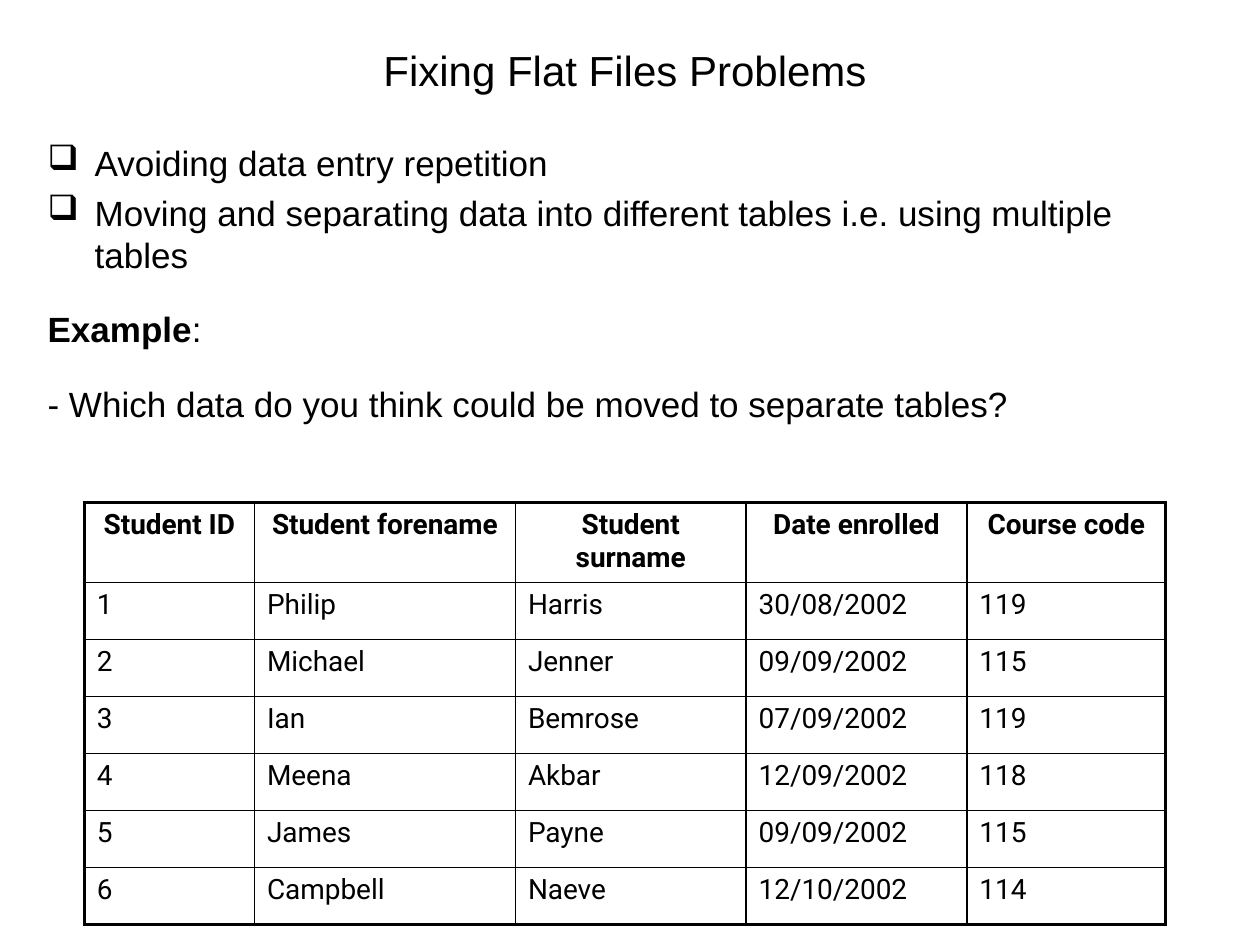
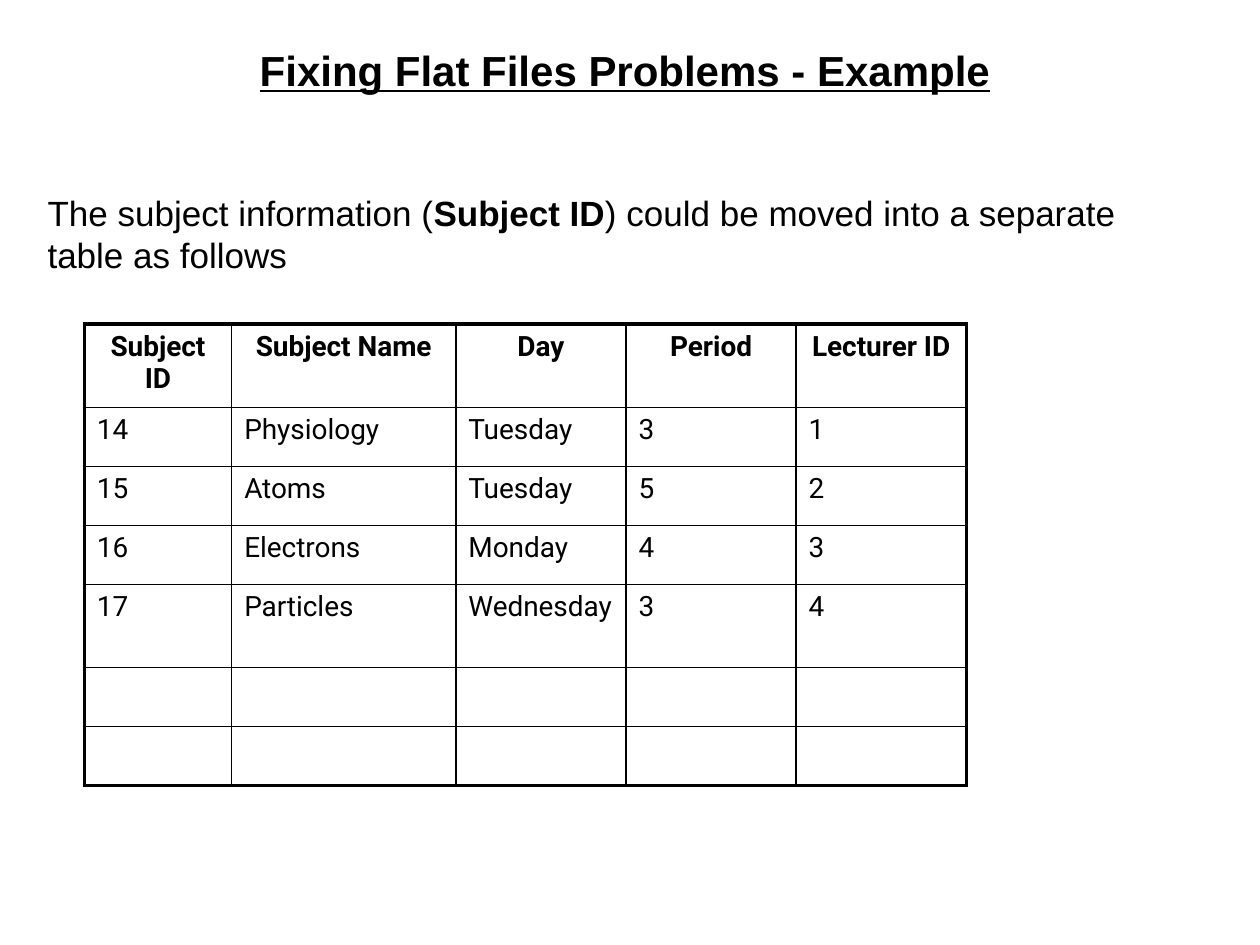
import pptx
import pptx.dml.color
import pptx.enum.text
import pptx.oxml
import pptx.oxml.ns
import pptx.util

Cm = pptx.util.Cm
Pt = pptx.util.Pt
ALIGN = pptx.enum.text.PP_ALIGN
ANCHOR = pptx.enum.text.MSO_ANCHOR

COLORS = {"ink": "000000", "paper": "FFFFFF"}
BODY_FONT = "Arial"
TABLE_FONT = "Roboto"
TABLE_LEFT = 1.7
OUTER_LINE = 2.25
INNER_LINE = 1
BULLET_INDENT = 0.95

STUDENTS = [
    ["Student ID", "Student forename", "Student surname", "Date enrolled", "Course code"],
    ["1", "Philip", "Harris", "30/08/2002", "119"],
    ["2", "Michael", "Jenner", "09/09/2002", "115"],
    ["3", "Ian", "Bemrose", "07/09/2002", "119"],
    ["4", "Meena", "Akbar", "12/09/2002", "118"],
    ["5", "James", "Payne", "09/09/2002", "115"],
    ["6", "Campbell", "Naeve", "12/10/2002", "114"],
]
SUBJECTS = [
    ["Subject ID", "Subject Name", "Day", "Period", "Lecturer ID"],
    ["14", "Physiology", "Tuesday", "3", "1"],
    ["15", "Atoms", "Tuesday", "5", "2"],
    ["16", "Electrons", "Monday", "4", "3"],
    ["17", "Particles", "Wednesday", "3", "4"],
    [""] * 5,
    [""] * 5,
]


def rgb(name):
    return pptx.dml.color.RGBColor.from_string(COLORS[name])


def add_span(para, text, font=BODY_FONT, size=20, bold=False, underline=False):
    span = para.add_run()
    span.text = text
    span.font.name = font
    span.font.size = Pt(size)
    span.font.bold = bold
    span.font.underline = underline
    span.font.color.rgb = rgb("ink")


def add_bullet(para):
    properties = para._p.get_or_add_pPr()
    properties.set("marL", str(Cm(BULLET_INDENT)))
    properties.set("indent", str(-Cm(BULLET_INDENT)))
    bullet = pptx.oxml.parse_xml(
        f'<a:buChar {pptx.oxml.ns.nsdecls("a")} char="❑"/>')
    properties.append(bullet)


def add_box(page, left, top, width, height):
    box = page.shapes.add_textbox(Cm(left), Cm(top), Cm(width), Cm(height))
    box.text_frame.word_wrap = True
    return box.text_frame


def add_title(page, text, **style):
    frame = add_box(page, 1.17, 0.53, 22.86, 1.75)
    frame.vertical_anchor = ANCHOR.MIDDLE
    para = frame.paragraphs[0]
    para.alignment = ALIGN.CENTER
    add_span(para, text, size=24, **style)


def add_body(page, top, width, height, paragraphs):
    frame = add_box(page, 0.71, top, width, height)
    for index, (spans, space, bulleted) in enumerate(paragraphs):
        para = frame.add_paragraph() if index else frame.paragraphs[0]
        if space:
            para.space_before = Pt(space)
        if bulleted:
            add_bullet(para)
        for text, bold in spans:
            add_span(para, text, bold=bold)


def set_borders(cell, widths):
    properties = cell._tc.get_or_add_tcPr()
    for index, (side, width) in enumerate(widths.items()):
        line = pptx.oxml.parse_xml(
            f'<a:ln{side} {pptx.oxml.ns.nsdecls("a")} w="{Pt(width)}">'
            f'<a:solidFill><a:srgbClr val="{COLORS["ink"]}"/></a:solidFill>'
            f'</a:ln{side}>')
        properties.insert(index, line)


def add_grid(page, top, widths, heights, rows):
    frame = page.shapes.add_table(
        len(rows), len(widths), Cm(TABLE_LEFT), Cm(top), Cm(sum(widths)), Cm(sum(heights)))
    table = frame.table
    table.first_row = False
    table.horz_banding = False
    for column, width in zip(table.columns, widths):
        column.width = Cm(width)
    for row, height in zip(table.rows, heights):
        row.height = Cm(height)
    last_row, last_column = len(rows) - 1, len(widths) - 1
    for r, values in enumerate(rows):
        for c, value in enumerate(values):
            cell = table.cell(r, c)
            cell.fill.background()
            edges = {"L": c == 0, "R": c == last_column, "T": r == 0, "B": r == last_row}
            set_borders(cell, {side: OUTER_LINE if outer else INNER_LINE
                               for side, outer in edges.items()})
            if value:
                para = cell.text_frame.paragraphs[0]
                para.alignment = ALIGN.LEFT if r else ALIGN.CENTER
                add_span(para, value, font=TABLE_FONT, size=16, bold=r == 0)


def add_page(deck):
    page = deck.slides.add_slide(deck.slide_layouts[6])
    page.background.fill.solid()
    page.background.fill.fore_color.rgb = rgb("paper")
    return page


def add_problem_page(deck):
    page = add_page(deck)
    add_title(page, "Fixing Flat Files Problems")
    add_body(page, 2.72, 23.8, 14.3, [
        ([("Avoiding data entry repetition", False)], 0, True),
        ([("Moving and separating data into different tables i.e. using multiple tables",
           False)], 4.8, True),
        ([("Example", True), (":", False)], 18.5, False),
        ([("- Which data do you think could be moved to separate tables?", False)], 18.5, False),
    ])
    add_grid(page, 10.13, [3.43, 5.26, 4.65, 4.45, 4.01], [1.56] + [1.15] * 6, STUDENTS)


def add_example_page(deck):
    page = add_page(deck)
    add_title(page, "Fixing Flat Files Problems - Example", bold=True, underline=True)
    add_body(page, 3.73, 23.34, 13.28, [
        ([("The subject information (", False), ("Subject ID", True),
          (") could be moved into a separate table as follows", False)], 0, False),
    ])
    heights = [1.68] + [1.19] * 3 + [1.68] + [1.19] * 2
    add_grid(page, 6.53, [2.97, 4.52] + [3.43] * 3, heights, SUBJECTS)


def main():
    deck = pptx.Presentation()
    deck.slide_width = Cm(25.4)
    deck.slide_height = Cm(19.05)
    add_problem_page(deck)
    add_example_page(deck)
    deck.save("out.pptx")


if __name__ == "__main__":
    main()
